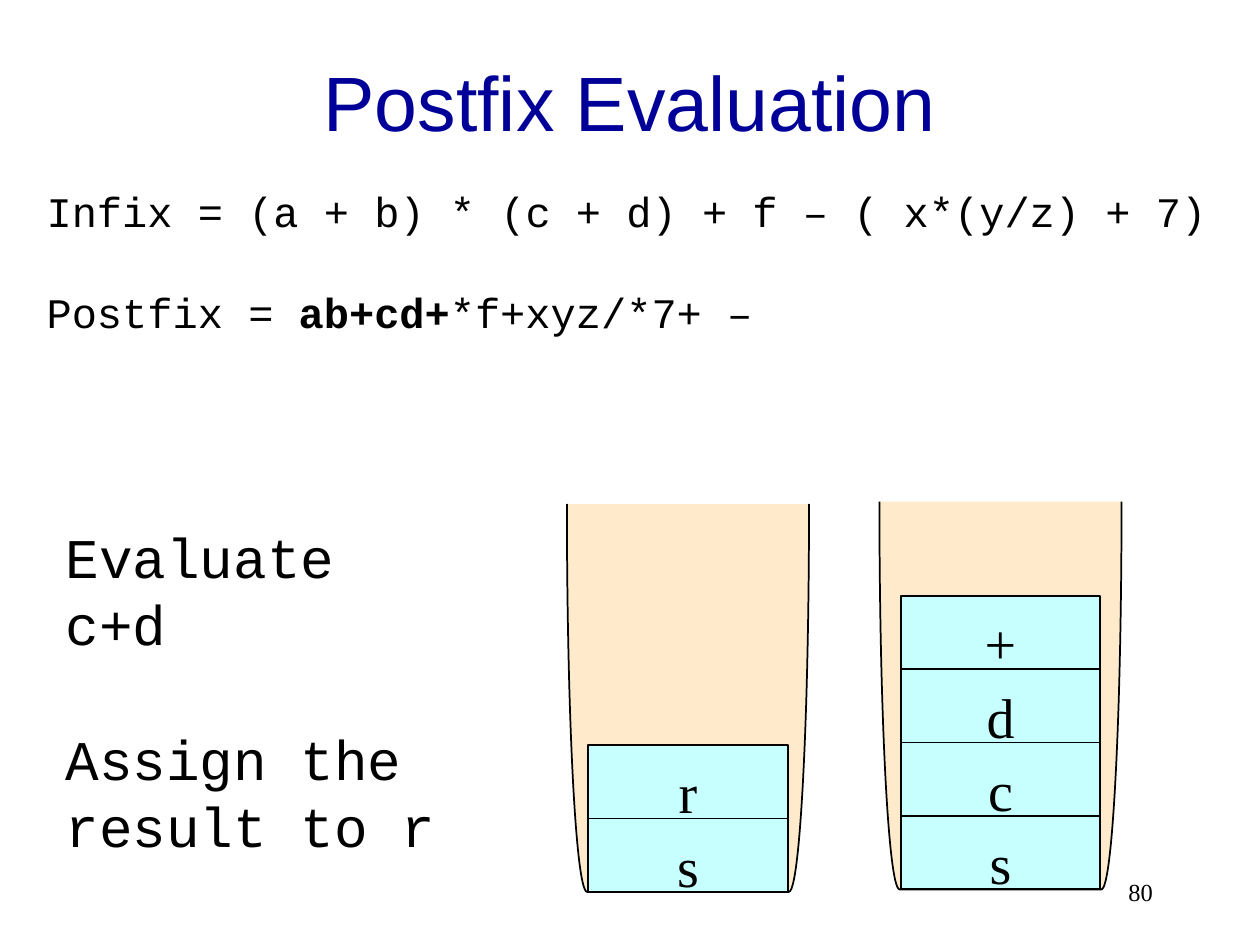
"""Build the slide on evaluating a postfix expression with two stacks."""
import pptx
import pptx.dml.color
import pptx.enum.shapes
import pptx.enum.text
import pptx.util

Cm = pptx.util.Cm
Pt = pptx.util.Pt
Align = pptx.enum.text.PP_ALIGN
Anchor = pptx.enum.text.MSO_ANCHOR
Shape = pptx.enum.shapes.MSO_SHAPE

COLORS = {
    "title": "000099",
    "ink": "000000",
    "stack": "FFEBCC",
    "cell": "C7FFFF",
}


def write(paragraph, text, font="Courier New", size=32, color="ink", bold=False,
          align=Align.LEFT, space_before=0):
    paragraph.alignment = align
    paragraph.space_before = Pt(space_before)
    run = paragraph.add_run()
    run.text = text
    run.font.name = font
    run.font.size = Pt(size)
    run.font.bold = bold
    run.font.color.rgb = pptx.dml.color.RGBColor.from_string(COLORS[color])


def add_outlined(preset, left, top, width, height, fill):
    shape = slide.shapes.add_shape(preset, Cm(left), Cm(top), Cm(width), Cm(height))
    shape.shadow.inherit = False
    shape.fill.solid()
    shape.fill.fore_color.rgb = pptx.dml.color.RGBColor.from_string(COLORS[fill])
    shape.line.color.rgb = pptx.dml.color.RGBColor.from_string(COLORS["ink"])
    shape.line.width = Pt(1)
    return shape


presentation = pptx.Presentation()
presentation.slide_width = Cm(25.4)
presentation.slide_height = Cm(19.05)
slide = presentation.slides.add_slide(presentation.slide_layouts[5])

title = slide.shapes.title
title.left, title.top, title.width, title.height = Cm(1.9), Cm(0.43), Cm(21.6), Cm(3.18)
title.text_frame.vertical_anchor = Anchor.MIDDLE
write(title.text_frame.paragraphs[0], "Postfix Evaluation", font="Arial", size=44,
      color="title", align=Align.CENTER)

number_box = slide.shapes.add_textbox(Cm(18.21), Cm(17.35), Cm(5.28), Cm(1.27))
number_box.text_frame.vertical_anchor = Anchor.MIDDLE
number_box.text_frame.word_wrap = True
write(number_box.text_frame.paragraphs[0], "80", font="Times New Roman", size=14,
      align=Align.RIGHT)

expressions = slide.shapes.add_textbox(Cm(0.53), Cm(3.61), Cm(24.33), Cm(3.33)).text_frame
expressions.word_wrap = True
expressions.margin_left = Cm(0.41)
write(expressions.paragraphs[0], "Infix = (a + b) * (c + d) + f – ( x*(y/z) + 7)", size=24)
postfix = expressions.add_paragraph()
for text, bold in [("Postfix = ", False), ("ab+cd+", True), ("*f+xyz/*7+ –", False)]:
    write(postfix, text, size=24, bold=bold, space_before=28.8)

steps = slide.shapes.add_textbox(Cm(1.07), Cm(10.41), Cm(8.89), Cm(7.09)).text_frame
steps.word_wrap = True
write(steps.paragraphs[0], "Evaluate")
write(steps.add_paragraph(), "c+d")
write(steps.add_paragraph(), "Assign the result to r", space_before=38.4)

bracket_length, bracket_depth = 7.82, 4.88
cell_width, cell_height = 4.02, 1.48
for left, top, items in [(9.96, 11.63, "sr"), (16.26, 11.58, "scd+")]:
    bracket = add_outlined(Shape.LEFT_BRACKET, left, top, bracket_length, bracket_depth, "stack")
    bracket.rotation = 270
    cell_left = left + (bracket_length - cell_width) / 2
    bottom = top + (bracket_depth + bracket_length) / 2
    for level, item in enumerate(items, start=1):
        cell = add_outlined(Shape.RECTANGLE, cell_left, bottom - level * cell_height,
                            cell_width, cell_height, "cell")
        cell.text_frame.vertical_anchor = Anchor.TOP
        cell.text_frame.margin_top = Cm(0.26)
        cell.text_frame.margin_bottom = 0
        write(cell.text_frame.paragraphs[0], item, font="Times New Roman", align=Align.CENTER)

presentation.save("out.pptx")
